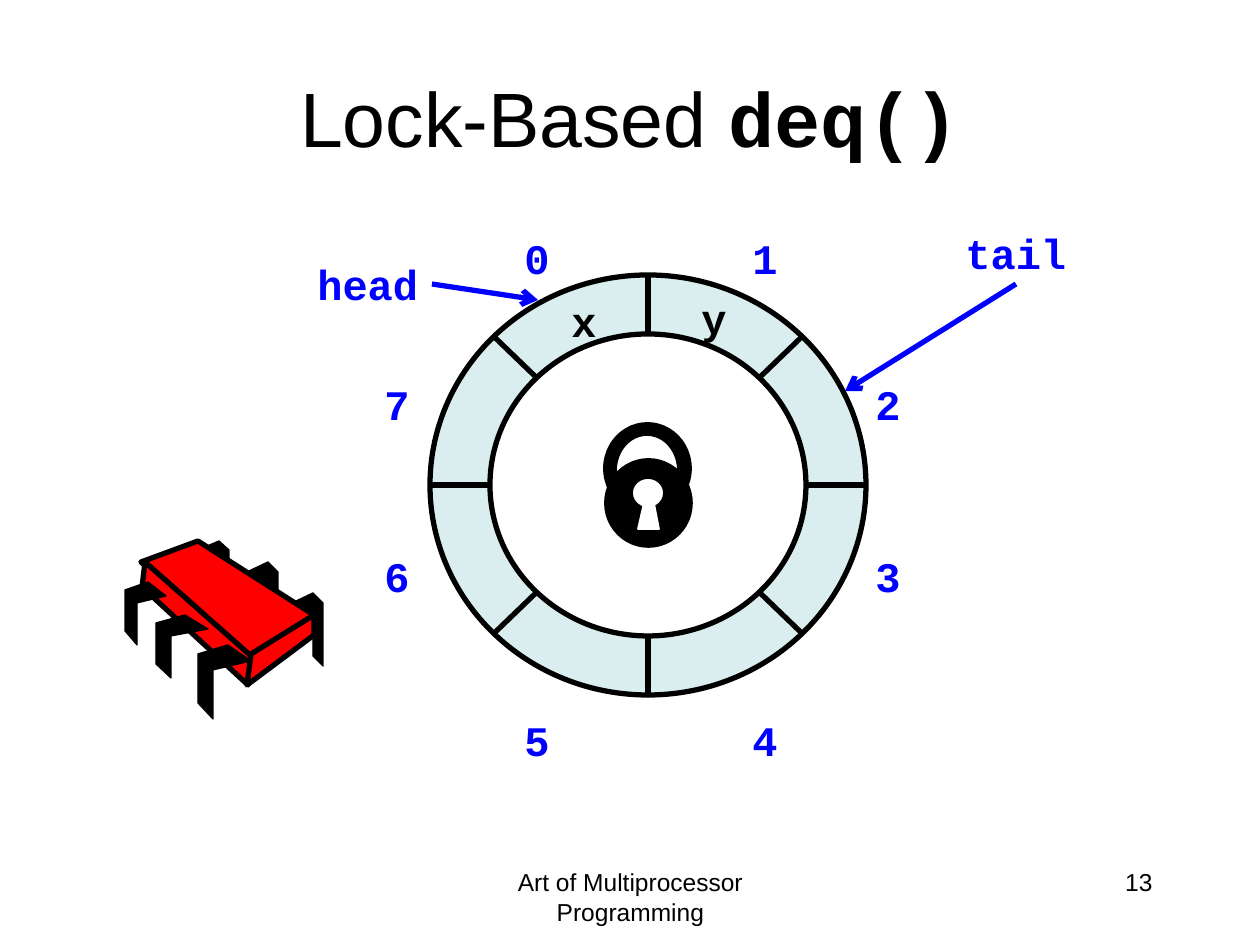
from math import cos, pi, sin

from lxml.etree import SubElement
from pptx import Presentation
from pptx.dml.color import RGBColor
from pptx.enum.shapes import MSO_CONNECTOR as CONN, MSO_SHAPE as SHAPE
from pptx.enum.text import MSO_ANCHOR as ANCHOR, MSO_AUTO_SIZE as AUTO, PP_ALIGN as ALIGN
from pptx.oxml.ns import qn
from pptx.util import Emu, Inches, Pt

SCALE = 914400 / 126
BLACK, WHITE, BLUE, RED, PALE = "000000", "FFFFFF", "0000FF", "FF0000", "DAEDEF"
SANS = {"name": "Arial", "size": Pt(14), "bold": False}
CODE = {"name": "Courier New", "size": Pt(24), "bold": True}
BIG = {"size": Pt(44)}


def px(n):
    return Emu(round(n * SCALE))


def rgb(value):
    return RGBColor.from_string(value)


class Deck:
    def __init__(self, s):
        self.s = s

    def place(self, sp, box):
        for name, n in zip(("left", "top", "width", "height"), box):
            setattr(sp, name, px(n))

    def run(self, p, text, style, color=BLACK):
        r = p.add_run()
        r.text = text
        for name, value in style.items():
            setattr(r.font, name, value)
        r.font.color.rgb = rgb(color)

    def title(self, box, runs):
        sp = self.s.shapes.title
        self.place(sp, box)
        tf = sp.text_frame
        tf.vertical_anchor = ANCHOR.MIDDLE
        p = tf.paragraphs[0]
        p.alignment = ALIGN.CENTER
        for text, style in runs:
            self.run(p, text, style)

    def text(self, box, text, style, color=BLACK, align=ALIGN.LEFT, wrap=True):
        tf = self.s.shapes.add_textbox(*map(px, box)).text_frame
        tf.word_wrap = wrap
        tf.auto_size = AUTO.NONE if wrap else AUTO.SHAPE_TO_FIT_TEXT
        p = tf.paragraphs[0]
        p.alignment = align
        self.run(p, text, style, color)

    def label(self, x, y, text, color=BLUE):
        self.text((x, y, 23 + 26 * len(text), 63), text, CODE, color, wrap=False)

    def paint(self, sp, fill, line, width):
        sp.shadow.inherit = False
        sp.fill.solid()
        sp.fill.fore_color.rgb = rgb(fill)
        sp.line.color.rgb = rgb(line)
        sp.line.width = Pt(width)

    def ellipse(self, box, fill, width):
        sp = self.s.shapes.add_shape(SHAPE.OVAL, *map(px, box))
        self.paint(sp, fill, BLACK, width)

    def polygon(self, points, fill, line, width):
        fb = self.s.shapes.build_freeform(*points[0], scale=SCALE)
        fb.add_line_segments(points[1:], close=True)
        self.paint(fb.convert_to_shape(), fill, line, width)

    def line(self, start, end, color, arrow=False):
        sp = self.s.shapes.add_connector(CONN.STRAIGHT, *map(px, (*start, *end)))
        sp.line.color.rgb = rgb(color)
        sp.line.width = Pt(3)
        props = sp._element.spPr
        if arrow:
            SubElement(props.find(qn("a:ln")), qn("a:tailEnd"), type="arrow")
        SubElement(props, qn("a:effectLst"))

    def leg(self, outline, x, y, sx, sy):
        points = [(round(x + a * sx), round(y + b * sy)) for a, b in outline]
        self.polygon(points, BLACK, BLACK, 0.75)


def draw_chip(deck):
    back = [(0, 10), (21, 0), (31, 10), (31, 73), (21, 63), (21, 21), (0, 31)]
    front = [(30, 0), (53, 16), (15, 25), (15, 74), (0, 58), (0, 9)]
    faces = [
        [(198, 541), (314, 615), (248, 658), (141, 562)],
        [(145, 562), (251, 656), (248, 685), (142, 587)],
        [(314, 615), (314, 635), (247, 685), (251, 654)],
    ]
    for x, y, sy in ((292, 593, 1), (247, 562, 1), (198, 541, 0.86)):
        deck.leg(back, x, y, 1, sy)
    for face in faces:
        deck.polygon(face, RED, BLACK, 3)
    for x, y, sx, sy in ((198, 645, 1, 1), (156, 615, 0.98, 0.85), (125, 582, 0.77, 0.85)):
        deck.leg(front, x, y, sx, sy)


def draw_ring(deck):
    cx, cy, rx, ry = 648, 485, 218, 210
    deck.ellipse((cx - rx, cy - ry, 2 * rx, 2 * ry), PALE, 3)
    for i in range(4):
        dx, dy = rx * cos(i * pi / 4), ry * sin(i * pi / 4)
        deck.line((cx - dx, cy - dy), (cx + dx, cy + dy), BLACK)
    deck.ellipse((cx - 158, cy - 151, 316, 302), WHITE, 3)


def draw_lock(deck):
    deck.ellipse((604, 423, 87, 91), BLACK, 1)
    deck.ellipse((616, 435, 62, 71), WHITE, 1)
    deck.ellipse((605, 459, 87, 88), BLACK, 1)
    deck.ellipse((632, 478, 32, 30), WHITE, 1)
    deck.polygon([(638, 529), (644, 503), (654, 503), (659, 529)], WHITE, WHITE, 1)


def main():
    prs = Presentation()
    prs.slide_width, prs.slide_height = Inches(10), Inches(7.5)
    deck = Deck(prs.slides.add_slide(prs.slide_layouts[5]))

    deck.title((63, 38, 1134, 158), [("Lock-Based ", SANS | BIG), ("deq()", CODE | BIG)])
    deck.text((431, 861, 399, 63), "Art of Multiprocessor Programming", SANS, align=ALIGN.CENTER)
    deck.text((903, 861, 262, 63), "13", SANS, align=ALIGN.RIGHT)

    draw_chip(deck)
    draw_ring(deck)
    draw_lock(deck)

    slots = [(512, 226), (740, 226), (863, 372), (863, 544),
             (740, 708), (512, 708), (372, 544), (372, 372)]
    for i, (x, y) in enumerate(slots):
        deck.label(x, y, str(i))
    deck.label(559, 289, "x", BLACK)
    deck.label(689, 286, "y", BLACK)
    deck.label(305, 252, "head")
    deck.label(953, 221, "tail")
    deck.line((432, 284), (538, 300), BLUE, arrow=True)
    deck.line((1016, 284), (845, 391), BLUE, arrow=True)

    prs.save("out.pptx")


if __name__ == "__main__":
    main()
